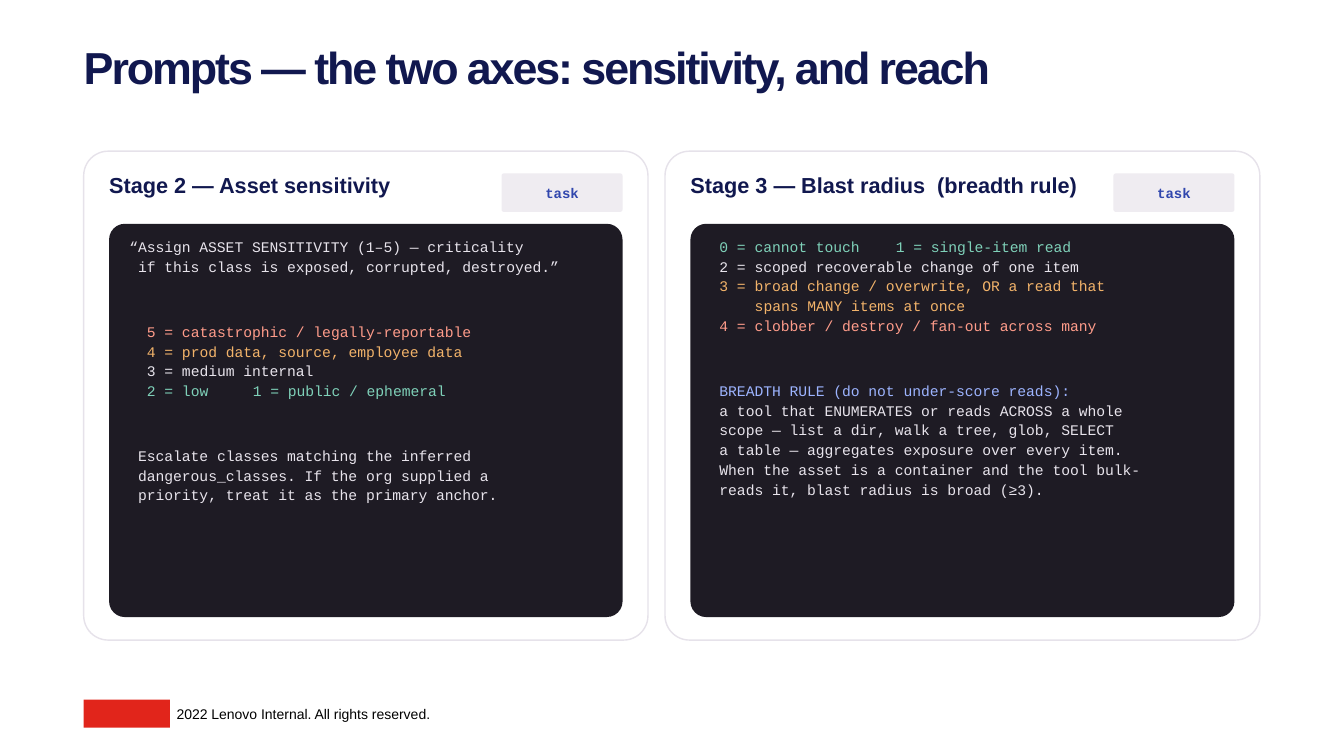
from lxml.etree import SubElement
from pptx import Presentation
from pptx.dml.color import RGBColor
from pptx.enum.shapes import MSO_SHAPE
from pptx.enum.text import MSO_ANCHOR, MSO_AUTO_SIZE, PP_ALIGN
from pptx.oxml.ns import qn
from pptx.util import Cm, Pt

TITLE = "Prompts — the two axes: sensitivity, and reach"
FOOTER = "2022 Lenovo Internal. All rights reserved."
TAG = "task"

# A block is a list of lines; a line is (colour, (column, text), ...).
PANELS = [
    {
        "left": 2.11, "width": 14.22,
        "heading": [(0, "Stage 2 — Asset sensitivity")],
        "blocks": [
            [("plain", (0, "“Assign ASSET SENSITIVITY (1–5) — criticality")),
             ("plain", (1, "if this class is exposed, corrupted, destroyed.”"))],
            [("red", (2, "5 = catastrophic / legally-reportable")),
             ("amber", (2, "4 = prod data, source, employee data")),
             ("plain", (2, "3 = medium internal")),
             ("green", (2, "2 = low"), (14, "1 = public / ephemeral"))],
            [("plain", (1, "Escalate classes matching the inferred")),
             ("plain", (1, "dangerous_classes. If the org supplied a")),
             ("plain", (1, "priority, treat it as the primary anchor."))],
        ],
    },
    {
        "left": 16.76, "width": 14.99,
        "heading": [(0, "Stage 3 — Blast radius"), (6.22, "(breadth rule)")],
        "blocks": [
            [("green", (1, "0 = cannot touch"), (21, "1 = single-item read")),
             ("plain", (1, "2 = scoped recoverable change of one item")),
             ("amber", (1, "3 = broad change / overwrite, OR a read that")),
             ("amber", (5, "spans MANY items at once")),
             ("red", (1, "4 = clobber / destroy / fan-out across many"))],
            [("blue", (1, "BREADTH RULE (do not under-score reads):")),
             ("plain", (1, "a tool that ENUMERATES or reads ACROSS a whole")),
             ("plain", (1, "scope — list a dir, walk a tree, glob, SELECT")),
             ("plain", (1, "a table — aggregates exposure over every item.")),
             ("plain", (1, "When the asset is a container and the tool bulk-")),
             ("plain", (1, "reads it, blast radius is broad (≥3)."))],
        ],
    },
]

THEME = {
    "colours": {
        "navy": "11184F", "black": "000000", "white": "FFFFFF", "border": "E6E2EA",
        "pill": "EFECF1", "tag": "3046AD", "screen": "1E1B24", "brand": "E1251B",
        "plain": "E8E4EC", "red": "FF9C8A", "amber": "F2B36A", "green": "7FD1B9",
        "blue": "9DB4FF",
    },
    "title": {"name": "Arial", "size": Pt(32), "bold": True},
    "heading": {"name": "Arial", "size": Pt(15.5), "bold": True},
    "tag": {"name": "Courier New", "size": Pt(10), "bold": True},
    "code": {"name": "Courier New", "size": Pt(10.5)},
    "footer": {"name": "Arial", "size": Pt(10)},
}

CARD_TOP, CARD_HEIGHT, PAD = 3.81, 12.32, 0.64
SCREEN_TOP, SCREEN_HEIGHT = 5.64, 9.91
PILL_TOP, PILL_WIDTH, PILL_HEIGHT = 4.37, 3.05, 0.97
CHAR_WIDTH = 10.5 * 0.6 * 2.54 / 72
BLOCK_GAP = Pt(32.4)


def colour(name):
    return RGBColor.from_string(THEME["colours"][name])


def prepare_frame(tf, anchor=MSO_ANCHOR.TOP):
    settings = {"word_wrap": True, "auto_size": MSO_AUTO_SIZE.NONE,
                "vertical_anchor": anchor, "margin_left": 0, "margin_right": 0,
                "margin_top": 0, "margin_bottom": 0}
    for key, value in settings.items():
        setattr(tf, key, value)
    return tf


def add_run(p, text, style, colour_name):
    r = p.add_run()
    r.text = text
    for key, value in THEME[style].items():
        setattr(r.font, key, value)
    r.font.color.rgb = colour(colour_name)
    return r


def add_columns(p, parts, style, colour_name):
    """Write (position in cm, text) parts, each reached by its own tab stop."""
    stops = [pos for pos, _ in parts if pos]
    if stops:
        tabs = SubElement(p._p.get_or_add_pPr(), qn("a:tabLst"))
        for pos in stops:
            SubElement(tabs, qn("a:tab"), pos=str(int(Cm(pos))), algn="l")
    text = "".join(("\t" if pos else "") + words for pos, words in parts)
    add_run(p, text, style, colour_name)


def add_box(slide, left, top, width, height, fill, radius=None, line=None):
    kind = MSO_SHAPE.RECTANGLE if radius is None else MSO_SHAPE.ROUNDED_RECTANGLE
    sp = slide.shapes.add_shape(kind, Cm(left), Cm(top), Cm(width), Cm(height))
    sp.shadow.inherit = False
    if radius is not None:
        sp.adjustments[0] = radius
    sp.fill.solid()
    sp.fill.fore_color.rgb = colour(fill)
    if line:
        sp.line.color.rgb = colour(line)
        sp.line.width = Pt(1)
    else:
        sp.line.fill.background()
    return sp


def add_text(slide, left, top, width, height):
    sp = slide.shapes.add_textbox(Cm(left), Cm(top), Cm(width), Cm(height))
    return prepare_frame(sp.text_frame)


def add_title(slide):
    sp = slide.shapes.title
    sp.left, sp.top, sp.width, sp.height = Cm(2.11), Cm(1.22), Cm(29.64), Cm(1.17)
    p = prepare_frame(sp.text_frame).paragraphs[0]
    p.alignment = PP_ALIGN.LEFT
    p.line_spacing = 0.85
    r = add_run(p, TITLE, "title", "navy")
    r._r.get_or_add_rPr().set("spc", "-150")


def add_code(tf, blocks):
    p = tf.paragraphs[0]
    for b, block in enumerate(blocks):
        for i, (colour_name, *parts) in enumerate(block):
            if b or i:
                p = tf.add_paragraph()
            columns = [(col * CHAR_WIDTH, text) for col, text in parts]
            add_columns(p, columns, "code", colour_name)
            p.line_spacing = 1.12
            if b and i == 0:
                p.space_before = BLOCK_GAP


def add_panel(slide, panel):
    left, width = panel["left"], panel["width"]
    inner_left, inner_width = left + PAD, width - 2 * PAD
    pill_left = inner_left + inner_width - PILL_WIDTH
    add_box(slide, left, CARD_TOP, width, CARD_HEIGHT, "white", 0.05, "border")

    tf = add_text(slide, inner_left, 4.32, pill_left - inner_left, 1.02)
    add_columns(tf.paragraphs[0], panel["heading"], "heading", "navy")

    pill = add_box(slide, pill_left, PILL_TOP, PILL_WIDTH, PILL_HEIGHT, "pill", 0.06)
    p = prepare_frame(pill.text_frame, MSO_ANCHOR.MIDDLE).paragraphs[0]
    p.alignment = PP_ALIGN.CENTER
    add_run(p, TAG, "tag", "tag")

    add_box(slide, inner_left, SCREEN_TOP, inner_width, SCREEN_HEIGHT, "screen", 0.04)
    tf = add_text(slide, inner_left + 0.51, SCREEN_TOP + 0.3,
                  inner_width - 1.02, SCREEN_HEIGHT - 0.6)
    add_code(tf, panel["blocks"])


def main():
    prs = Presentation()
    prs.slide_width, prs.slide_height = Cm(33.87), Cm(19.05)
    slide = prs.slides.add_slide(prs.slide_layouts[5])
    add_title(slide)
    for panel in PANELS:
        add_panel(slide, panel)
    add_box(slide, 2.11, 17.63, 2.17, 0.71, "brand")
    tf = add_text(slide, 4.45, 17.78, 11.43, 0.43)
    add_run(tf.paragraphs[0], FOOTER, "footer", "black")
    prs.save("out.pptx")


if __name__ == "__main__":
    main()
